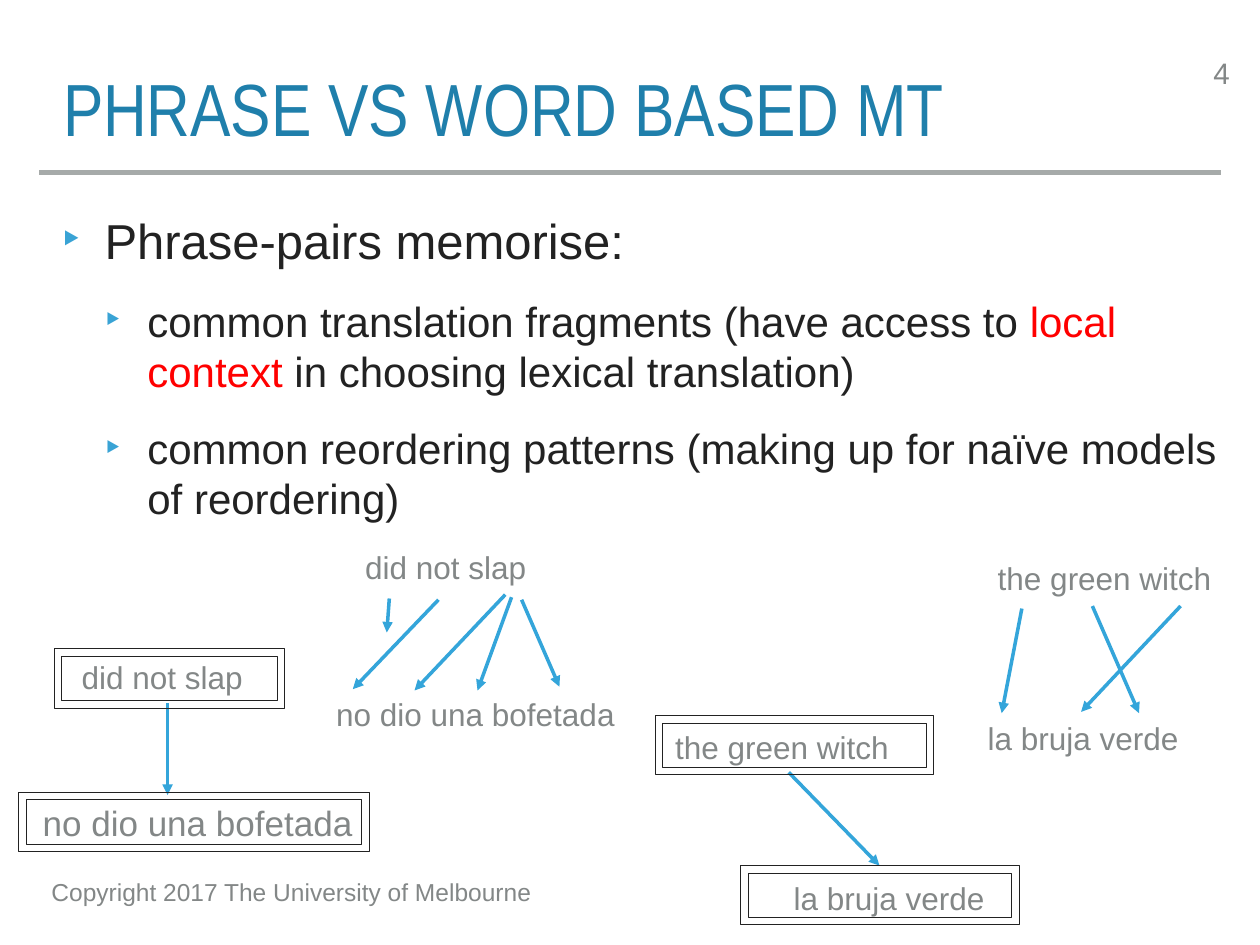
"""Build a slide comparing phrase based and word based machine translation."""
from dataclasses import dataclass

from lxml.etree import SubElement
from pptx import Presentation
from pptx.dml.color import RGBColor as Rgb
from pptx.enum.shapes import MSO_CONNECTOR as Connector, MSO_SHAPE as Preset
from pptx.enum.text import MSO_ANCHOR as Anchor, MSO_AUTO_SIZE as AutoSize, PP_ALIGN as Align
from pptx.oxml.ns import qn
from pptx.util import Inches, Pt


@dataclass(frozen=True)
class Theme:
    font: str = "Arial"
    title_font: str = "Arial Narrow"
    title: str = "1F7FAB"
    body: str = "222222"
    accent: str = "FF0000"
    bullet: str = "39A3D5"
    arrow: str = "34A5DA"
    label: str = "838787"
    rule: str = "A6AAA9"
    title_size: float = 42.2
    point_size: float = 28
    subpoint_size: float = 24
    label_size: float = 18
    large_label_size: float = 20
    footer_size: float = 14
    number_size: float = 16.9


theme = Theme()


def style_runs(paragraph, size, color, font=theme.font):
    for run in paragraph.runs:
        run.font.name = font
        run.font.size = Pt(size)
        run.font.color.rgb = Rgb.from_string(color)


def add_line(shapes, start, end, color, width):
    line = shapes.add_connector(Connector.STRAIGHT, *map(Inches, start + end))
    line.line.color.rgb = Rgb.from_string(color)
    line.line.width = Pt(width)
    SubElement(line._element.spPr, qn("a:effectLst"))
    return line


deck = Presentation()
deck.slide_width, deck.slide_height = Inches(10), Inches(7.5)
slide = deck.slides.add_slide(deck.slide_layouts[1])
shapes = slide.shapes
title, points = shapes.title, slide.placeholders[1]

for holder, area, anchor in [
    (title, (0.44, 0, 9.38, 1.26), Anchor.BOTTOM),
    (points, (0.43, 1.61, 9.38, 5.5), Anchor.TOP),
]:
    holder.left, holder.top, holder.width, holder.height = map(Inches, area)
    frame = holder.text_frame
    frame.auto_size = AutoSize.NONE
    frame.word_wrap = True
    frame.vertical_anchor = anchor
    frame.margin_left = frame.margin_right = Inches(0.06)
    frame.margin_top = frame.margin_bottom = Inches(0.06)

title.text_frame.text = "PHRASE VS WORD BASED MT"
heading = title.text_frame.paragraphs[0]
heading.alignment = Align.LEFT
heading.line_spacing = 0.8
heading.space_before = Pt(0)
style_runs(heading, theme.title_size, theme.title, theme.title_font)

outline = [
    (0, ["Phrase-pairs memorise:"]),
    (1, ["common translation fragments (have access to ", "local context ",
         "in choosing lexical translation)"]),
    (1, ["common reordering patterns (making up for naïve models of reordering)"]),
]
for index, (level, phrases) in enumerate(outline):
    point = points.text_frame.add_paragraph() if index else points.text_frame.paragraphs[0]
    point.level = level
    properties = point._p.get_or_add_pPr()
    properties.set("marL", str(Inches(0.34 * (level + 1))))
    properties.set("indent", str(Inches(-0.34)))
    bullet_color = SubElement(properties, qn("a:buClr"))
    SubElement(bullet_color, qn("a:srgbClr"), val=theme.bullet)
    SubElement(properties, qn("a:buSzPct"), val="105000")
    SubElement(properties, qn("a:buFont"), typeface=theme.font)
    SubElement(properties, qn("a:buChar"), char="‣")
    point.space_before = Pt(15 if index else 0)
    for phrase in phrases:
        point.add_run().text = phrase
    style_runs(point, theme.subpoint_size if level else theme.point_size, theme.body)
    if len(phrases) > 1:
        point.runs[1].font.color.rgb = Rgb.from_string(theme.accent)

add_line(shapes, (0.31, 1.37), (9.69, 1.37), theme.rule, 3)

labels = [
    ("Copyright 2017 The University of Melbourne", 0.31, 6.91, 4.03, 0.34, theme.footer_size),
    ("did not slap", 2.8, 4.3, 1.56, 0.4, theme.label_size),
    ("no dio una bofetada", 2.57, 5.47, 2.43, 0.4, theme.label_size),
    ("did not slap", 0.55, 5.17, 1.56, 0.4, theme.label_size),
    ("no dio una bofetada", 0.24, 6.31, 2.68, 0.44, theme.large_label_size),
    ("the green witch", 5.26, 5.73, 1.98, 0.4, theme.label_size),
    ("la bruja verde", 6.2, 6.93, 1.74, 0.4, theme.label_size),
    ("the green witch", 7.82, 4.39, 1.98, 0.4, theme.label_size),
    ("la bruja verde", 7.74, 5.66, 1.74, 0.4, theme.label_size),
]
for wording, *area, size in labels:
    label = shapes.add_textbox(*map(Inches, area)).text_frame
    label.word_wrap = False
    label.text = wording
    style_runs(label.paragraphs[0], size, theme.label)

page_number = shapes.add_textbox(*map(Inches, (9.47, 0.45, 0.33, 0.31))).text_frame
page_number.word_wrap = True
page_number.margin_left = page_number.margin_right = Inches(0.04)
page_number.margin_top = page_number.margin_bottom = Inches(0.04)
page_number.text = "4"
page_number.paragraphs[0].alignment = Align.RIGHT
page_number.paragraphs[0].line_spacing = 0.8
style_runs(page_number.paragraphs[0], theme.number_size, theme.label)

alignments = [
    ((3.48, 4.76), (2.8, 5.47)),
    ((4.01, 4.72), (3.29, 5.48)),
    ((4.06, 4.74), (3.79, 5.48)),
    ((4.14, 4.76), (4.44, 5.45)),
    ((3.09, 4.75), (3.07, 5.02)),
    ((1.33, 5.58), (1.33, 6.31)),
    ((6.26, 6.13), (6.98, 6.87)),
    ((8.11, 4.83), (7.95, 5.66)),
    ((8.67, 4.81), (9.04, 5.66)),
    ((9.37, 4.81), (8.58, 5.65)),
]
for source_word, target_word in alignments:
    arrow = add_line(shapes, source_word, target_word, theme.arrow, 2)
    SubElement(arrow.line._get_or_add_ln(), qn("a:tailEnd"), type="triangle")

for left, top, width in [(0.43, 5.15, 1.83), (0.15, 6.29, 2.78), (5.2, 5.68, 2.21), (5.88, 6.87, 2.21)]:
    phrase_box = shapes.add_shape(Preset.FRAME, *map(Inches, (left, top, width, 0.47)))
    phrase_box.shadow.inherit = False
    phrase_box.fill.background()
    phrase_box.line.color.rgb = Rgb.from_string(theme.body)
    phrase_box.line.width = Pt(0.5)

deck.save("out.pptx")
